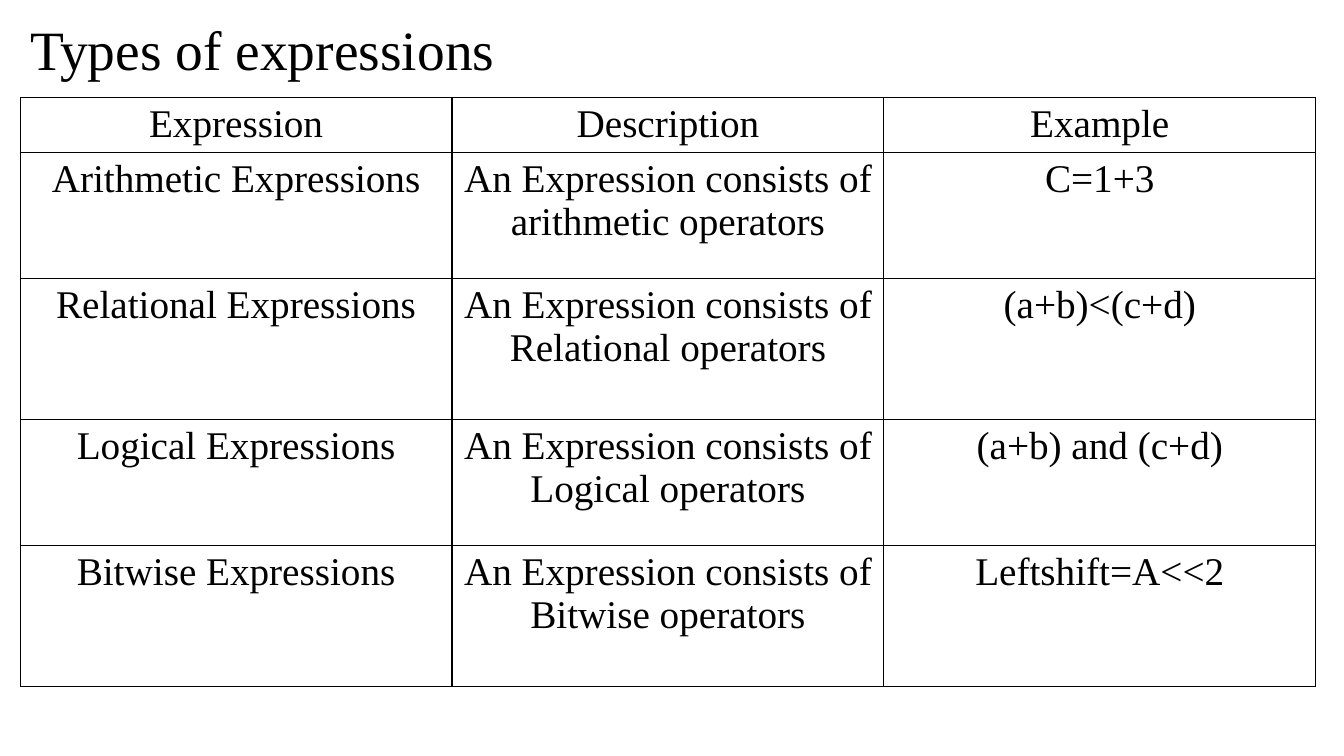
from lxml import etree
from pptx import Presentation
from pptx import util as u
from pptx.dml.color import RGBColor
from pptx.enum import text
from pptx.oxml.ns import qn

BLACK = "000000"
FACE = "Times New Roman"
ROW_HEIGHTS = [0.54, 1.25, 1.4, 1.25, 1.4]
HEADINGS = ["Expression", "Description", "Example"]
EXAMPLES = {
    "Arithmetic": ("arithmetic", "C=1+3"),
    "Relational": ("Relational", "(a+b)<(c+d)"),
    "Logical": ("Logical", "(a+b) and (c+d)"),
    "Bitwise": ("Bitwise", "Leftshift=A<<2"),
}


def color(hex_value):
    return RGBColor.from_string(hex_value)


def set_format(target, values):
    for key, value in values.items():
        setattr(target, key, value)


def set_font(paragraph, size):
    set_format(paragraph.font, {"name": FACE, "size": u.Pt(size), "bold": False})
    paragraph.font.color.rgb = color(BLACK)


def add_borders(cell, hex_value, width):
    """Draw a solid line on each side of the cell."""
    properties = cell._tc.get_or_add_tcPr()
    for position, side in enumerate(("lnL", "lnR", "lnT", "lnB")):
        line = etree.Element(qn(f"a:{side}"), w=str(u.Pt(width)))
        fill = etree.SubElement(line, qn("a:solidFill"))
        etree.SubElement(fill, qn("a:srgbClr"), val=hex_value)
        properties.insert(position, line)


def place_heading(slide, left, top, width, height):
    heading = slide.shapes.title
    set_format(heading, {"left": u.Inches(left), "top": u.Inches(top),
                         "width": u.Inches(width), "height": u.Inches(height)})
    frame = heading.text_frame
    frame.text = "Types of expressions"
    set_format(frame, {"vertical_anchor": text.MSO_ANCHOR.MIDDLE, "word_wrap": True,
                       "auto_size": text.MSO_AUTO_SIZE.NONE})
    set_format(frame.paragraphs[0], {"alignment": text.PP_ALIGN.LEFT, "line_spacing": 0.9})
    set_font(frame.paragraphs[0], 39.6)


def place_expressions(slide, left, top, width):
    rows = [HEADINGS] + [
        (f"{kind} Expressions", f"An Expression consists of {operators} operators", example)
        for kind, (operators, example) in EXAMPLES.items()
    ]
    expressions = slide.shapes.add_table(
        len(rows), len(HEADINGS), u.Inches(left), u.Inches(top),
        u.Inches(width), u.Inches(sum(ROW_HEIGHTS))).table
    set_format(expressions, {"first_row": False, "horz_banding": False})

    for row, height, entries in zip(expressions.rows, ROW_HEIGHTS, rows):
        row.height = u.Inches(height)
        for cell, entry in zip(row.cells, entries):
            cell.text = entry
            cell.fill.background()
            add_borders(cell, BLACK, 1)
            paragraph = cell.text_frame.paragraphs[0]
            paragraph.alignment = text.PP_ALIGN.CENTER
            set_font(paragraph, 28)


def main():
    deck = Presentation()
    set_format(deck, {"slide_width": u.Inches(13.33), "slide_height": u.Inches(7.5)})
    slide = deck.slides.add_slide(deck.slide_layouts[5])

    # Heading above the full-width table
    place_heading(slide, 0.2, 0.2, 12.85, 0.64)
    place_expressions(slide, 0.2, 0.97, 12.85)
    deck.save("out.pptx")


if __name__ == "__main__":
    main()
